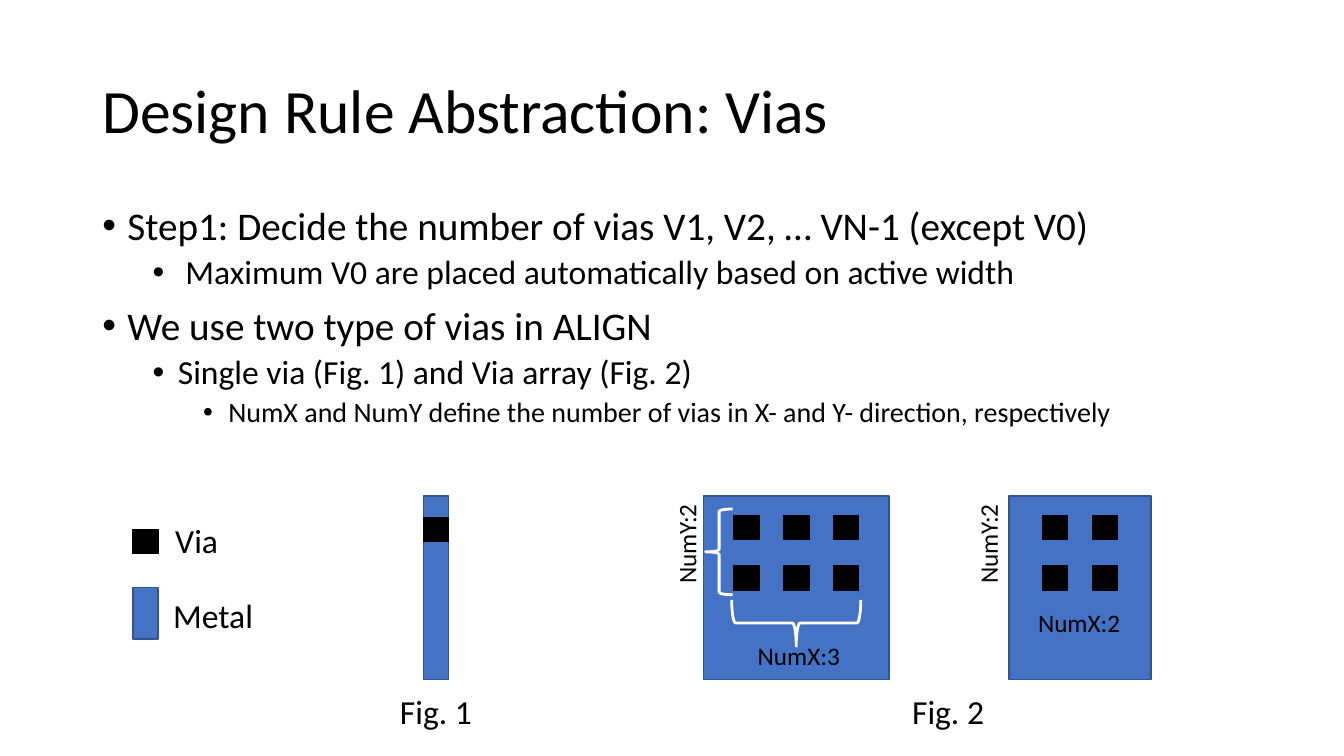
from dataclasses import dataclass

from lxml import etree
from pptx import Presentation
from pptx.dml.color import RGBColor
from pptx.enum.shapes import MSO_SHAPE
from pptx.enum.text import MSO_ANCHOR, MSO_AUTO_SIZE
from pptx.oxml.ns import qn
from pptx.slide import Slide
from pptx.text.text import TextFrame
from pptx.util import Pt

RECTANGLE = MSO_SHAPE.RECTANGLE
LEFT_BRACE = MSO_SHAPE.LEFT_BRACE
MIDDLE = MSO_ANCHOR.MIDDLE
TOP = MSO_ANCHOR.TOP
GROW = MSO_AUTO_SIZE.SHAPE_TO_FIT_TEXT

BLACK = RGBColor(0x00, 0x00, 0x00)
WHITE = RGBColor(0xFF, 0xFF, 0xFF)
METAL_FILL = RGBColor(0x44, 0x72, 0xC4)
METAL_EDGE = RGBColor(0x32, 0x54, 0x91)
FONT = "Calibri"

VIA_WIDTH, VIA_HEIGHT = 18, 17.5
VIA_PITCH_X, VIA_PITCH_Y = 35.7, 36
PLATE_TOP, PLATE_HEIGHT = 354.2, 131
CAPTION_TOP = 489.6


@dataclass(frozen=True)
class Bullet:
    text: str
    level: int
    size: float
    space_before: float


@dataclass(frozen=True)
class Label:
    text: str
    left: float
    top: float
    width: float
    height: float
    size: float
    rotation: float = 0


@dataclass(frozen=True)
class Metal:
    left: float
    top: float
    width: float
    height: float


@dataclass(frozen=True)
class ViaArray:
    left: float
    top: float
    num_x: int = 1
    num_y: int = 1


@dataclass(frozen=True)
class Brace:
    left: float
    top: float
    width: float
    height: float
    rotation: float = 0


BULLETS = [
    Bullet("Step1: Decide the number of vias V1, V2, … VN-1 (except V0)", 0, 28, 10),
    Bullet(" Maximum V0 are placed automatically based on active width", 1, 24, 5),
    Bullet("We use two type of vias in ALIGN", 0, 28, 10),
    Bullet("Single via (Fig. 1) and Via array (Fig. 2)", 1, 24, 5),
    Bullet("NumX and NumY define the number of vias in X- and Y- direction, respectively", 2, 20, 5),
]
METALS = [
    Metal(95, 419.8, 18, 36.7),
    Metal(302.4, PLATE_TOP, 18, PLATE_HEIGHT),
    Metal(502.6, PLATE_TOP, 132.5, PLATE_HEIGHT),
    Metal(720.7, PLATE_TOP, 101.5, PLATE_HEIGHT),
]
VIA_ARRAYS = [
    ViaArray(95, 378),
    ViaArray(302.4, 369.4),
    ViaArray(524.2, 368, 3, 2),
    ViaArray(744.8, 368, 2, 2),
]
BRACES = [
    Brace(504, 363.6, 19.4, 61.2),
    Brace(552.2, 398.9, 33.1, 92.2, 270),
]
LABELS = [
    Label("Via", 118.1, 367.9, 45.4, 36.7, 24),
    Label("Metal", 116.6, 421.2, 72, 36.7, 24),
    Label("NumX:3", 534.2, 453.6, 74.2, 28.8, 18),
    Label("NumY:2", 454.3, 373.7, 72, 28.8, 18, 270),
    Label("NumX:2", 734.4, 430.6, 74.2, 28.8, 18),
    Label("NumY:2", 669.6, 373.7, 72, 28.8, 18, 270),
    Label("Fig. 1", 278.6, CAPTION_TOP, 66.2, 36.7, 24),
    Label("Fig. 2", 644.4, CAPTION_TOP, 66.2, 36.7, 24),
]


def format_runs(frame: TextFrame, size: float) -> None:
    for paragraph in frame.paragraphs:
        for run in paragraph.runs:
            run.font.name = FONT
            run.font.size = Pt(size)
            run.font.color.rgb = BLACK


def draw_title(slide: Slide, text: str) -> None:
    frame = slide.shapes.add_textbox(Pt(66), Pt(28.8), Pt(828), Pt(104.4)).text_frame
    frame.word_wrap = True
    frame.vertical_anchor = MIDDLE
    frame.text = text
    frame.paragraphs[0].line_spacing = 0.9
    format_runs(frame, 44)


def draw_bullets(slide: Slide, bullets: list[Bullet]) -> None:
    frame = slide.shapes.add_textbox(Pt(66), Pt(144), Pt(828), Pt(342.7)).text_frame
    frame.word_wrap = True
    frame.vertical_anchor = TOP
    frame.text = "\n".join(bullet.text for bullet in bullets)
    format_runs(frame, 28)
    for paragraph, bullet in zip(frame.paragraphs, bullets):
        paragraph.level = bullet.level
        paragraph.line_spacing = 0.9
        paragraph.space_before = Pt(bullet.space_before)
        paragraph.runs[0].font.size = Pt(bullet.size)
        properties = paragraph._p.get_or_add_pPr()
        properties.set("marL", str(Pt(18 + 36 * bullet.level)))
        properties.set("indent", str(Pt(-18)))
        etree.SubElement(properties, qn("a:buFont")).set("typeface", "Arial")
        etree.SubElement(properties, qn("a:buChar")).set("char", "•")


def draw_rectangle(slide: Slide, left: float, top: float, width: float, height: float,
                   fill: RGBColor, edge: RGBColor, edge_width: float) -> None:
    shape = slide.shapes.add_shape(RECTANGLE, Pt(left), Pt(top), Pt(width), Pt(height))
    shape.shadow.inherit = False
    shape.fill.solid()
    shape.fill.fore_color.rgb = fill
    shape.line.color.rgb = edge
    shape.line.width = Pt(edge_width)


def draw_metal(slide: Slide, metal: Metal) -> None:
    draw_rectangle(slide, metal.left, metal.top, metal.width, metal.height,
                   METAL_FILL, METAL_EDGE, 1)


def draw_vias(slide: Slide, array: ViaArray) -> None:
    for row in range(array.num_y):
        for column in range(array.num_x):
            draw_rectangle(slide, array.left + column * VIA_PITCH_X,
                           array.top + row * VIA_PITCH_Y,
                           VIA_WIDTH, VIA_HEIGHT, BLACK, BLACK, 0.74)


def draw_brace(slide: Slide, brace: Brace) -> None:
    shape = slide.shapes.add_shape(LEFT_BRACE, Pt(brace.left), Pt(brace.top),
                                   Pt(brace.width), Pt(brace.height))
    shape.rotation = brace.rotation
    shape.shadow.inherit = False
    shape.fill.background()
    shape.line.color.rgb = WHITE
    shape.line.width = Pt(2)


def draw_label(slide: Slide, label: Label) -> None:
    box = slide.shapes.add_textbox(Pt(label.left), Pt(label.top),
                                   Pt(label.width), Pt(label.height))
    box.rotation = label.rotation
    frame = box.text_frame
    frame.word_wrap = False
    frame.auto_size = GROW
    frame.text = label.text
    format_runs(frame, label.size)


presentation = Presentation()
presentation.slide_width = Pt(960)
presentation.slide_height = Pt(540)
slide = presentation.slides.add_slide(presentation.slide_layouts[6])

draw_title(slide, "Design Rule Abstraction: Vias")
draw_bullets(slide, BULLETS)
for metal in METALS:
    draw_metal(slide, metal)
for array in VIA_ARRAYS:
    draw_vias(slide, array)
for brace in BRACES:
    draw_brace(slide, brace)
for label in LABELS:
    draw_label(slide, label)

presentation.save("out.pptx")
